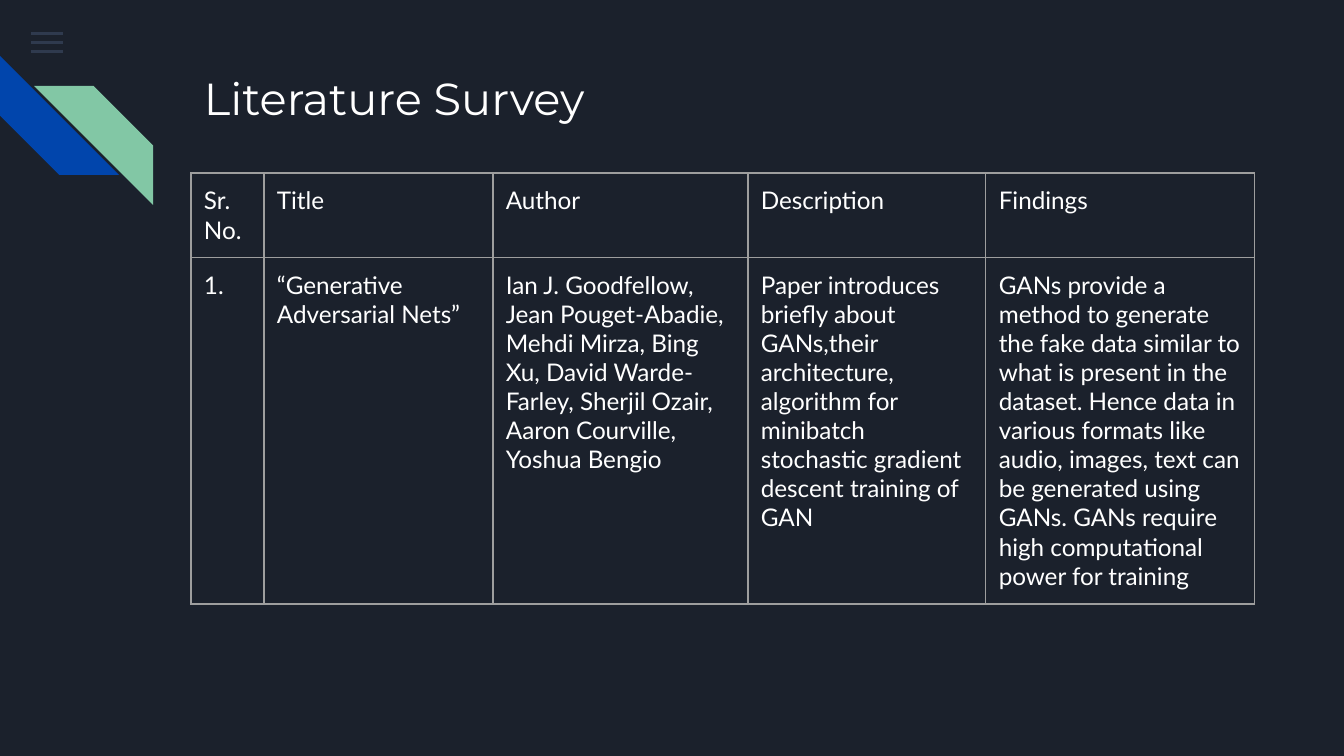
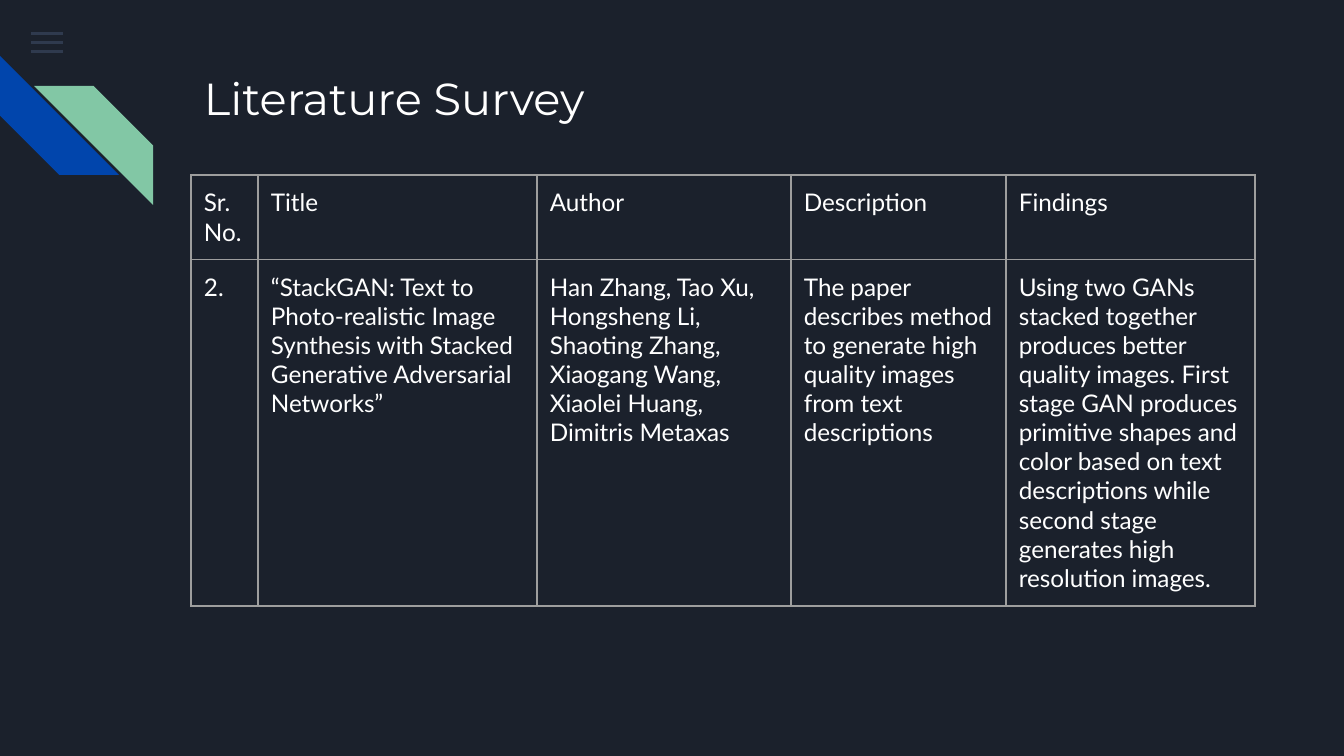
"""Build two literature survey slides, each with a table about one paper."""
from lxml import etree
from pptx import Presentation
from pptx.dml.color import RGBColor
from pptx.enum.shapes import MSO_SHAPE
from pptx.enum.text import MSO_ANCHOR
from pptx.oxml.ns import qn
from pptx.util import Emu, Pt

RECTANGLE = MSO_SHAPE.RECTANGLE
STRIPE = MSO_SHAPE.DIAGONAL_STRIPE
TOP = MSO_ANCHOR.TOP

EMU_PER_PX = 914400 / 134.4
SLIDE_WIDTH, SLIDE_HEIGHT = 1344, 756
INSET = 13
ROW_HEIGHT = 56

NAVY = RGBColor(0x1B, 0x21, 0x2C)
SLATE = RGBColor(0x55, 0x68, 0x8B)
BLUE = RGBColor(0x01, 0x45, 0xAC)
GREEN = RGBColor(0x82, 0xC7, 0xA5)
WHITE = RGBColor(0xFF, 0xFF, 0xFF)
GRAY = RGBColor(0x9E, 0x9E, 0x9E)

TITLE_FONT, BODY_FONT = "Montserrat", "Lato"
HEADINGS = ["Sr. No.", "Title", "Author", "Description", "Findings"]

SURVEYS = [
    {
        "top": 173,
        "widths": [73, 229, 255, 238, 269],
        "paper": [
            "1.",
            "“Generative Adversarial Nets”",
            "Ian J. Goodfellow, Jean Pouget-Abadie, Mehdi Mirza, Bing Xu, "
            "David Warde-Farley, Sherjil Ozair, Aaron Courville, Yoshua Bengio",
            "Paper introduces briefly about GANs,their architecture, algorithm "
            "for minibatch stochastic gradient descent training of GAN",
            "GANs provide a method to generate the fake data similar to what is "
            "present in the dataset. Hence data in various formats like audio, "
            "images, text can be generated using GANs. GANs require high "
            "computational power for training",
        ],
    },
    {
        "top": 175,
        "widths": [67, 279, 254, 215, 249],
        "paper": [
            "2.",
            "“StackGAN: Text to Photo-realistic Image Synthesis with Stacked "
            "Generative Adversarial Networks”",
            "Han Zhang, Tao Xu, Hongsheng Li, Shaoting Zhang, Xiaogang Wang, "
            "Xiaolei Huang, Dimitris Metaxas",
            "The paper describes method to generate high quality images from "
            "text descriptions",
            "Using two GANs stacked together produces better quality images. "
            "First stage GAN produces primitive shapes and color based on text "
            "descriptions while second stage generates high resolution images.",
        ],
    },
]


def px(length):
    """Turn pixels into EMU."""
    return Emu(round(length * EMU_PER_PX))


def set_insets(holder):
    """Give a text frame or a cell the same margin on each side."""
    holder.margin_left = holder.margin_right = px(INSET)
    holder.margin_top = holder.margin_bottom = px(INSET)


def style_text(text_frame, font_name, size):
    """Set the font of every paragraph."""
    for paragraph in text_frame.paragraphs:
        for run in paragraph.runs:
            run.font.name = font_name
            run.font.size = Pt(size)
            run.font.color.rgb = WHITE


def add_block(slide, preset, box, color):
    """Add a plain filled shape without outline or shadow."""
    block = slide.shapes.add_shape(preset, *map(px, box))
    block.shadow.inherit = False
    block.fill.solid()
    block.fill.fore_color.rgb = color
    block.line.fill.background()
    return block


def add_menu_bars(slide):
    """Add the three translucent bars in the corner."""
    for row in range(3):
        bar = add_block(slide, RECTANGLE, (31, 32 + 9 * row, 32, 3), SLATE)
        color = bar.fill._xPr.find(".//" + qn("a:srgbClr"))
        etree.SubElement(color, qn("a:alpha"), val="36000")


def add_stripes(slide):
    """Add the two diagonal stripes on the left edge."""
    for left, top, color, turn in ((0, 56, BLUE, 270), (34, 86, GREEN, 90)):
        stripe = add_block(slide, STRIPE, (left, top, 119, 119), color)
        stripe.rotation = turn


def add_title(slide, wording):
    """Add the slide title."""
    title = slide.shapes.add_textbox(px(191), px(58), px(1035), px(134))
    frame = title.text_frame
    frame.word_wrap = True
    frame.vertical_anchor = TOP
    set_insets(frame)
    frame.text = wording
    style_text(frame, TITLE_FONT, 24)


def add_borders(cell):
    """Draw a thin gray line on each side of a cell."""
    properties = cell._tc.get_or_add_tcPr()
    for index, side in enumerate(("a:lnL", "a:lnR", "a:lnT", "a:lnB")):
        line = etree.Element(qn(side), w=str(Pt(0.75)))
        fill = etree.SubElement(line, qn("a:solidFill"))
        etree.SubElement(fill, qn("a:srgbClr"), val=str(GRAY))
        properties.insert(index, line)


def add_survey_table(slide, top, widths, paper):
    """Add the table with the headings and one paper."""
    rows = [HEADINGS, paper]
    table = slide.shapes.add_table(
        len(rows), len(widths), px(191), px(top),
        px(sum(widths)), px(ROW_HEIGHT * len(rows)),
    ).table
    table.first_row = table.horz_banding = False
    for column, width in zip(table.columns, widths):
        column.width = px(width)
    for row, wordings in zip(table.rows, rows):
        for cell, wording in zip(row.cells, wordings):
            cell.text_frame.text = wording
            style_text(cell.text_frame, BODY_FONT, 13)
            set_insets(cell)
            cell.fill.background()
            add_borders(cell)


def main():
    """Build and save the presentation."""
    presentation = Presentation()
    presentation.slide_width = px(SLIDE_WIDTH)
    presentation.slide_height = px(SLIDE_HEIGHT)
    for survey in SURVEYS:
        slide = presentation.slides.add_slide(presentation.slide_layouts[6])
        slide.background.fill.solid()
        slide.background.fill.fore_color.rgb = NAVY
        add_menu_bars(slide)
        add_stripes(slide)
        add_title(slide, "Literature Survey")
        add_survey_table(slide, **survey)
    presentation.save("out.pptx")


if __name__ == "__main__":
    main()
